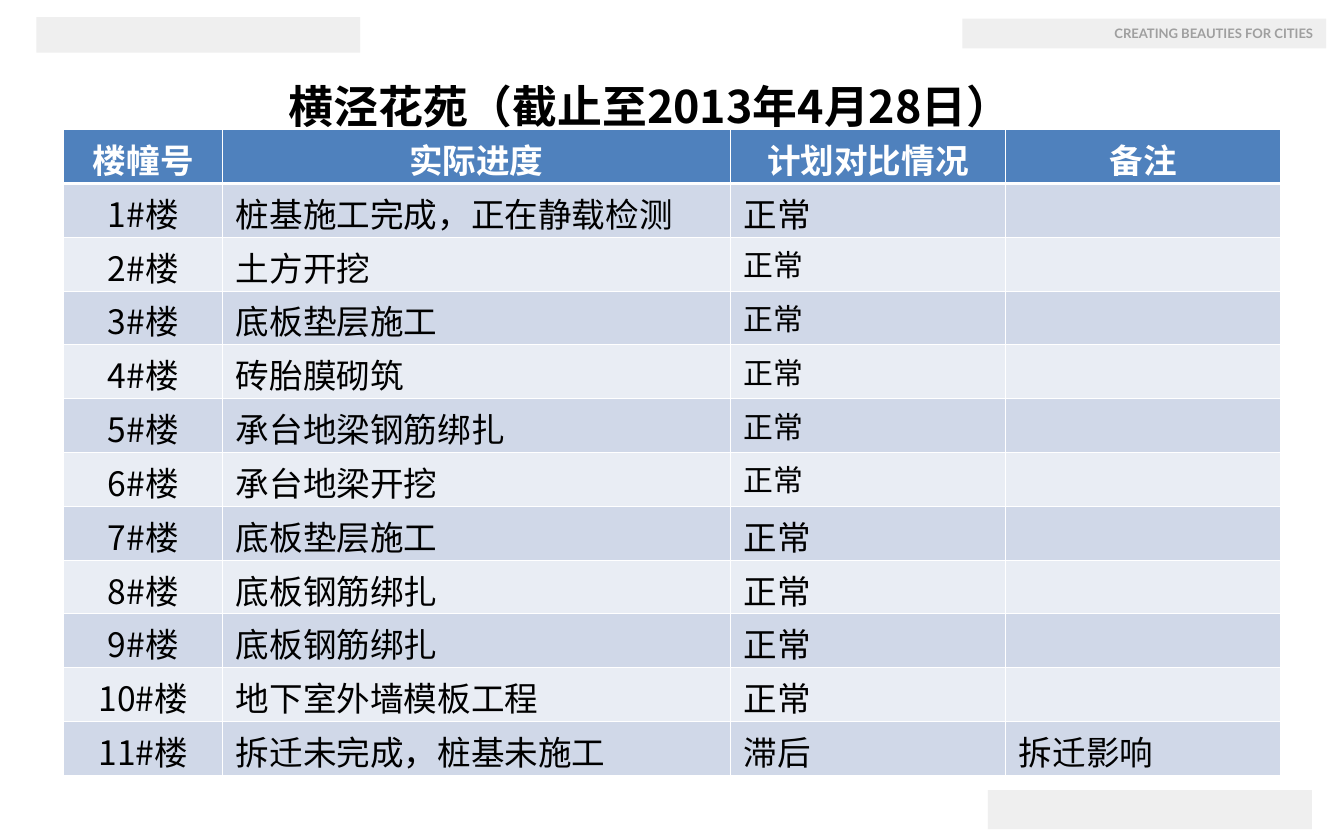
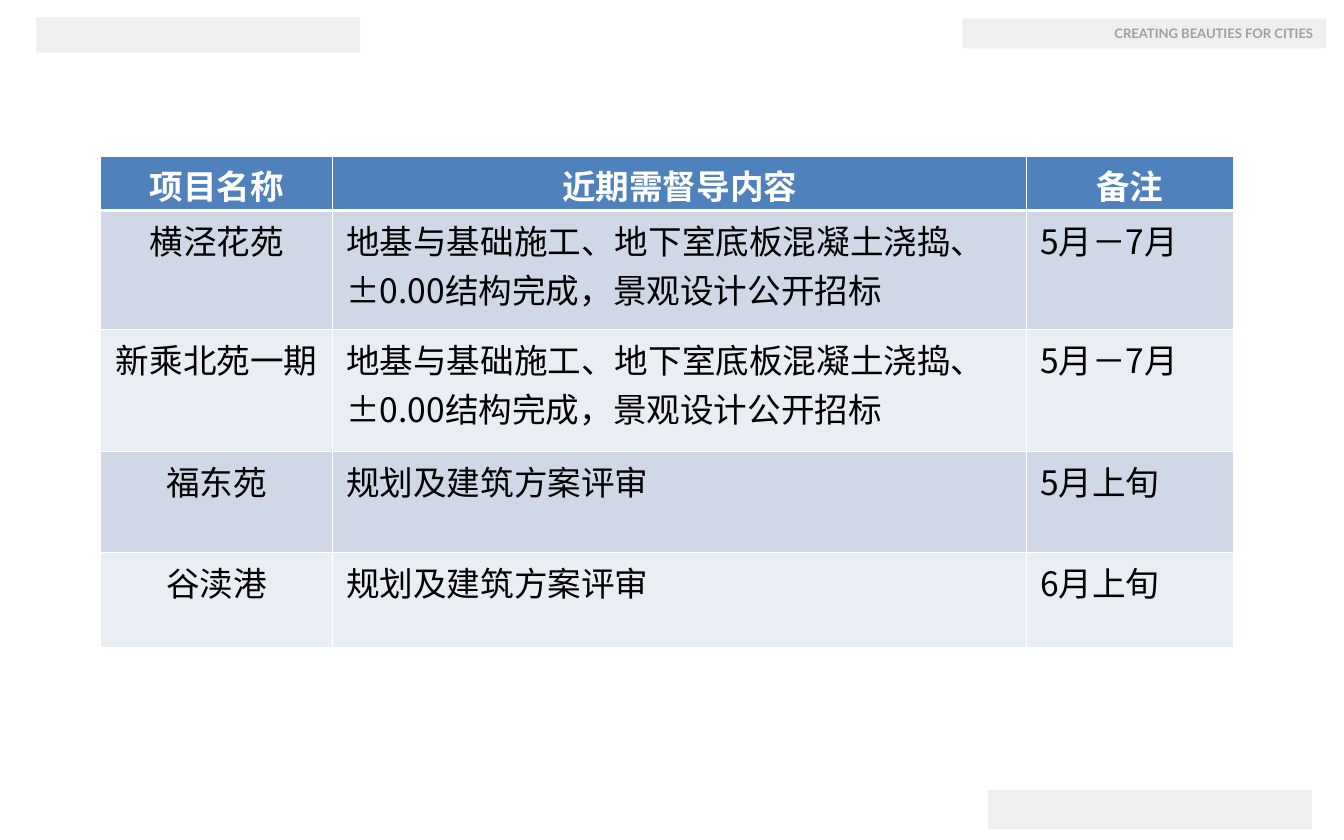
from dataclasses import dataclass

from lxml.etree import SubElement
from pptx import Presentation
from pptx.dml.color import RGBColor as RGB
from pptx.enum.shapes import MSO_SHAPE as Shape
from pptx.enum.text import MSO_ANCHOR as Anchor, MSO_AUTO_SIZE as AutoSize, PP_ALIGN as Align
from pptx.oxml.ns import qn
from pptx.util import Pt


@dataclass(frozen=True)
class Theme:
    band: str = "EFEFEF"
    slogan: str = "9F9F9F"
    header: str = "4F81BD"
    stripes: tuple = ("D0D8E8", "E9EDF4")
    white: str = "FFFFFF"
    black: str = "000000"
    latin: str = "Calibri"
    cjk: str = "Noto Sans CJK SC"
    slogan_font: str = "Lato"
    title_size: float = 24
    cell_size: float = 18
    small_size: float = 16
    slogan_size: float = 7
    thin_rule: float = 0.45
    header_rule: float = 1.47


THEME = Theme()
TITLE_ONLY, BLANK = 5, 6

PROGRESS = [
    ("楼幢号", "实际进度", "计划对比情况", "备注"),
    ("1#楼", "桩基施工完成，正在静载检测", "正常", ""),
    ("2#楼", "土方开挖", "正常", ""),
    ("3#楼", "底板垫层施工", "正常", ""),
    ("4#楼", "砖胎膜砌筑", "正常", ""),
    ("5#楼", "承台地梁钢筋绑扎", "正常", ""),
    ("6#楼", "承台地梁开挖", "正常", ""),
    ("7#楼", "底板垫层施工", "正常", ""),
    ("8#楼", "底板钢筋绑扎", "正常", ""),
    ("9#楼", "底板钢筋绑扎", "正常", ""),
    ("10#楼", "地下室外墙模板工程", "正常", ""),
    ("11#楼", "拆迁未完成，桩基未施工", "滞后", "拆迁影响"),
]
SMALL_STATUS = {(row, 2) for row in range(2, 7)}

FOUNDATION_WORK = "地基与基础施工、地下室底板混凝土浇捣、±0.00结构完成，景观设计公开招标"
DESIGN_REVIEW = "规划及建筑方案评审"
SUPERVISION = [
    ("项目名称", "近期需督导内容", "备注"),
    ("横泾花苑", FOUNDATION_WORK, "5月－7月"),
    ("新乘北苑一期", FOUNDATION_WORK, "5月－7月"),
    ("福东苑", DESIGN_REVIEW, "5月上旬"),
    ("谷渎港", DESIGN_REVIEW, "6月上旬"),
]


def format_runs(paragraph, size, color, latin, bold=False):
    for run in paragraph.runs:
        run.font.size = Pt(size)
        run.font.bold = bold
        run.font.color.rgb = RGB.from_string(color)
        run.font.name = latin
        SubElement(run.font._element, qn("a:ea"), typeface=THEME.cjk)


def add_band(slide, left, top, width, height):
    band = slide.shapes.add_shape(Shape.RECTANGLE, Pt(left), Pt(top), Pt(width), Pt(height))
    band.shadow.inherit = False
    band.fill.solid()
    band.fill.fore_color.rgb = RGB.from_string(THEME.band)
    band.line.fill.background()
    return band


def add_master_bands(master, slide):
    """Draw the bands on a slide, then move them to the master."""
    slogan_band = add_band(slide, 515.5, 10, 195, 16)
    slogan_band.text_frame.text = "CREATING BEAUTIES FOR CITIES"
    slogan_band.text_frame.vertical_anchor = Anchor.MIDDLE
    slogan = slogan_band.text_frame.paragraphs[0]
    slogan.alignment = Align.RIGHT
    format_runs(slogan, THEME.slogan_size, THEME.slogan, THEME.slogan_font, bold=True)

    top_band = add_band(slide, 19.5, 9.25, 173.5, 19)
    bottom_band = add_band(slide, 529.25, 423.25, 173.5, 21)
    for band in (slogan_band, top_band, bottom_band):
        master.shapes._spTree.append(band._element)


def set_title(slide, text, left, top, width, height):
    title = slide.shapes.title
    title.left, title.top, title.width, title.height = map(Pt, (left, top, width, height))
    frame = title.text_frame
    frame.text = text
    frame.vertical_anchor = Anchor.TOP
    frame.auto_size = AutoSize.SHAPE_TO_FIT_TEXT
    heading = frame.paragraphs[0]
    heading.alignment = Align.LEFT
    heading.line_spacing = 1.5
    format_runs(heading, THEME.title_size, THEME.black, THEME.cjk, bold=True)


def set_borders(cell, rules):
    """Give each side its white rule; borders must precede the fill."""
    properties = cell._tc.get_or_add_tcPr()
    for side, weight in rules.items():
        border = SubElement(properties, qn(f"a:{side}"), w=str(int(Pt(weight))))
        fill = SubElement(border, qn("a:solidFill"))
        SubElement(fill, qn("a:srgbClr"), val=THEME.white)


def fill_cell(cell, text, row, column, size, latin):
    is_header = row == 0
    rules = dict.fromkeys(("lnL", "lnR", "lnT", "lnB"), THEME.thin_rule)
    if row < 2:
        rules["lnB" if is_header else "lnT"] = THEME.header_rule
    set_borders(cell, rules)
    cell.fill.solid()
    fill = THEME.header if is_header else THEME.stripes[(row - 1) % 2]
    cell.fill.fore_color.rgb = RGB.from_string(fill)
    cell.margin_top, cell.margin_bottom = Pt(2.7), Pt(0)

    cell.text_frame.text = text
    entry = cell.text_frame.paragraphs[0]
    entry.alignment = Align.CENTER if is_header or column == 0 else Align.LEFT
    color = THEME.white if is_header else THEME.black
    format_runs(entry, size, color, latin, bold=is_header)


def add_striped_table(slide, entries, left, top, widths, heights, latin, small=()):
    table = slide.shapes.add_table(len(heights), len(widths), Pt(left), Pt(top),
                                   Pt(sum(widths)), Pt(sum(heights))).table
    table.horz_banding = False
    for column, width in zip(table.columns, widths):
        column.width = Pt(width)
    for table_row, height in zip(table.rows, heights):
        table_row.height = Pt(height)
    for row, texts in enumerate(entries):
        for column, text in enumerate(texts):
            size = THEME.small_size if (row, column) in small else THEME.cell_size
            font = THEME.cjk if column == 0 and row > 0 else latin
            fill_cell(table.cell(row, column), text, row, column, size, font)


def main():
    deck = Presentation()
    deck.slide_width, deck.slide_height = Pt(720), Pt(450)

    # Building progress
    progress = deck.slides.add_slide(deck.slide_layouts[TITLE_ONLY])
    add_master_bands(deck.slide_master, progress)
    set_title(progress, "横泾花苑（截止至2013年4月28日）", 147.5, 24, 445, 50.5)
    add_striped_table(progress, PROGRESS, 34.2, 69.4, (85, 272, 147.5, 147.5),
                      [28.83] * len(PROGRESS), THEME.latin, SMALL_STATUS)

    # Upcoming supervision
    supervision = deck.slides.add_slide(deck.slide_layouts[BLANK])
    add_striped_table(supervision, SUPERVISION, 54, 83.5, (124.25, 371.75, 110.5),
                      (29.25, 64, 65.25, 54, 51), THEME.cjk)

    deck.save("out.pptx")


if __name__ == "__main__":
    main()
